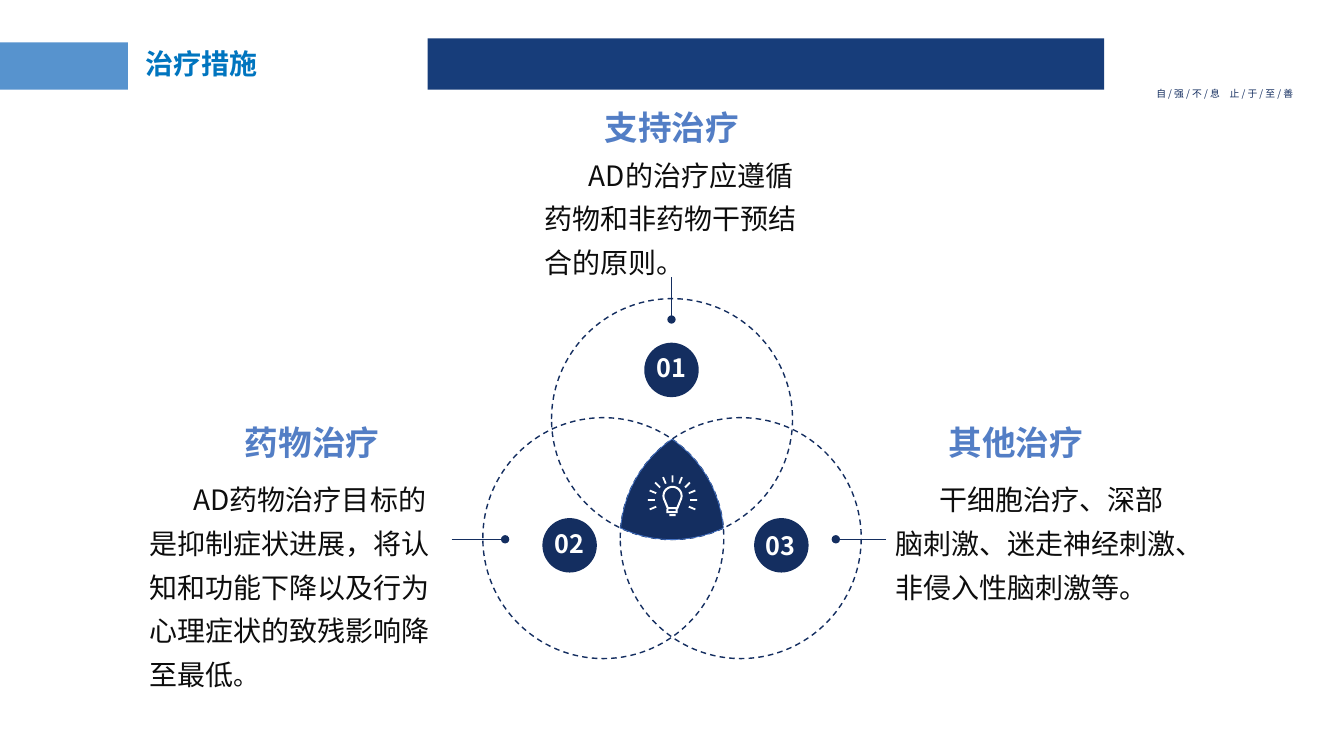
from math import cos, radians, sin, sqrt

from lxml.etree import SubElement
from pptx import Presentation
from pptx.dml.color import RGBColor
from pptx.enum.dml import MSO_LINE
from pptx.enum.shapes import MSO_CONNECTOR as CONNECTOR, MSO_SHAPE as SHAPE
from pptx.enum.text import MSO_ANCHOR as ANCHOR, PP_ALIGN as ALIGN
from pptx.oxml.ns import qn
from pptx.util import Pt

PX = 9144  # 100 px to the inch
FONT = "Noto Sans CJK SC"
NAVY, HEADING, BODY, WHITE = "142E60", "537EC5", "0D0D0D", "FFFFFF"

# Three circles set evenly around one centre
CENTER_X, CENTER_Y = 666.5, 494.5
RADIUS, OFFSET = 119.5, 78.7
CIRCLE_ANGLES = [-90, 30, 150]

# Heading, heading box, body box, body text, smaller closing mark
TREATMENTS = [
    ("支持治疗", (565, 101, 203, 50), (530, 142, 273, 144),
     "AD的治疗应遵循药物和非药物干预结合的原则。", ""),
    ("药物治疗", (208, 414, 203, 50), (138, 464, 311, 229),
     "AD药物治疗目标的是抑制症状进展，将认知和功能下降以及行为心理症状的致残影响降至最低", "。"),
    ("其他治疗", (906, 414, 203, 50), (878, 464, 302, 141),
     "干细胞治疗、深部脑刺激、迷走神经刺激、非侵入性脑刺激等。", ""),
]
LEADERS = [(666, 275, 666, 317), (448, 535, 501, 535), (879, 535, 829, 535)]
# Number, disc corner, label corner
NUMBERS = [("01", (639, 340), (640, 345)),
           ("02", (538, 514), (539, 519)),
           ("03", (748, 514), (748, 521))]


def emu(*lengths):
    return [round(length * PX) for length in lengths]


def color(value):
    return RGBColor.from_string(value)


def polar(x, y, distance, angle):
    return x + distance * cos(radians(angle)), y + distance * sin(radians(angle))


def paint(shape, fill=None, line=None, width=1):
    shape.shadow.inherit = False
    if fill:
        shape.fill.solid()
        shape.fill.fore_color.rgb = color(fill)
    else:
        shape.fill.background()
    if line:
        shape.line.color.rgb = color(line)
        shape.line.width = Pt(width)
    else:
        shape.line.fill.background()
    return shape


def add_preset(page, kind, box, **style):
    return paint(page.shapes.add_shape(kind, *emu(*box)), **style)


def add_outline(page, contours, **style):
    """Draw closed contours as one shape; inner contours become holes."""
    paths = [[emu(*point) for point in contour] for contour in contours]
    builder = page.shapes.build_freeform(*paths[0][0])
    for index, points in enumerate(paths):
        if index:
            builder.move_to(*points[0])
        builder.add_line_segments(points[1:], close=True)
    return paint(builder.convert_to_shape(), **style)


def add_leader(page, ends):
    connector = page.shapes.add_connector(CONNECTOR.STRAIGHT, *emu(*ends))
    connector.line.color.rgb = color(NAVY)
    connector.line.width = Pt(0.75)
    SubElement(connector.line._get_or_add_ln(), qn("a:tailEnd"), type="oval")
    SubElement(connector._element.spPr, qn("a:effectLst"))


def write(frame, text, size, ink, bold=False, align=ALIGN.LEFT, spacing=1.0,
          indent=0, closing=""):
    frame.word_wrap = True
    frame.text = text
    para = frame.paragraphs[0]
    para.alignment = align
    para.line_spacing = spacing
    para.space_before = Pt(0)
    if indent:
        properties = para._p.get_or_add_pPr()
        properties.set("marL", "0")
        properties.set("indent", str(indent * PX))
    if closing:
        para.add_run().text = closing
    for span, points in zip(para.runs, (size, size - 2)):
        span.font.size = Pt(points)
        span.font.bold = bold
        span.font.color.rgb = color(ink)
        span.font.name = FONT
        SubElement(span.font._element, qn("a:ea"), typeface=FONT)


def add_text(page, box, text, size, ink, **style):
    write(page.shapes.add_textbox(*emu(*box)).text_frame, text, size, ink, **style)


def add_title(page, text):
    title = page.shapes.title
    title.left, title.top, title.width, title.height = emu(134, 45, 283, 39)
    title.text_frame.vertical_anchor = ANCHOR.MIDDLE
    write(title.text_frame, text, 20, "0075BF", bold=True, spacing=0.9)


def add_number(page, text, disc, label):
    add_preset(page, SHAPE.OVAL, (*disc, 54, 54), fill=NAVY)
    add_text(page, (*label, 52, 40), text, 18, WHITE, bold=True, align=ALIGN.CENTER)


def overlap_edge(angle):
    """Distance from the centre to the nearest circle edge."""
    turns = [radians(angle - place) for place in CIRCLE_ANGLES]
    return min(OFFSET * cos(turn) + sqrt(RADIUS ** 2 - (OFFSET * sin(turn)) ** 2)
               for turn in turns)


def add_circles(page):
    for angle in CIRCLE_ANGLES:
        x, y = polar(CENTER_X, CENTER_Y, OFFSET, angle)
        box = (x - RADIUS, y - RADIUS, 2 * RADIUS, 2 * RADIUS)
        circle = add_preset(page, SHAPE.OVAL, box, line=NAVY)
        circle.line.dash_style = MSO_LINE.DASH
    overlap = [polar(CENTER_X, CENTER_Y, overlap_edge(angle), angle)
               for angle in range(-90, 270, 5)]
    add_outline(page, [overlap], fill=NAVY, line="4472C4", width=0.5)


def block(left, top, right, bottom):
    return [(left, top), (right, top), (right, bottom), (left, bottom)]


def glass(radius, half_neck, bottom):
    dome = [polar(667, 492, radius, angle) for angle in range(150, 391, 10)]
    return dome + [(667 + half_neck, bottom), (667 - half_neck, bottom)]


def ray(angle):
    inner, outer = (polar(667, 496, reach, angle) for reach in (17.5, 24.5))
    return [polar(*inner, 0.9, angle - 90), polar(*outer, 0.9, angle - 90),
            polar(*outer, 0.9, angle + 90), polar(*inner, 0.9, angle + 90)]


def add_bulb(page):
    # Glass wall, neck with its opening, foot, then rays
    contours = [glass(10, 5.5, 505), glass(8, 4, 503),
                block(661, 505, 672, 509), block(663, 505, 670, 507),
                block(664, 510, 670, 512)]
    contours += [ray(-202.5 + 22.5 * step) for step in range(11)]
    add_outline(page, contours, fill=WHITE)


def main():
    deck = Presentation()
    deck.slide_width, deck.slide_height = emu(1333, 750)
    page = deck.slides.add_slide(deck.slide_layouts[5])

    # Header
    add_preset(page, SHAPE.RECTANGLE, (424, 38, 671, 51), fill="173D7A")
    add_preset(page, SHAPE.RECTANGLE, (0, 42, 127, 47), fill="5793CE")
    add_text(page, (1137, 82, 173, 22), "自 / 强 / 不 / 息　止 / 于 / 至 / 善", 7, NAVY)
    add_title(page, "治疗措施")

    # Treatments
    for heading, heading_box, body_box, body, closing in TREATMENTS:
        add_text(page, heading_box, heading, 24, HEADING, bold=True, align=ALIGN.CENTER)
        add_text(page, body_box, body, 20, BODY, spacing=1.3, indent=44, closing=closing)

    # Diagram
    for ends in LEADERS:
        add_leader(page, ends)
    add_circles(page)
    for number in NUMBERS:
        add_number(page, *number)
    add_bulb(page)

    deck.save("out.pptx")


if __name__ == "__main__":
    main()
